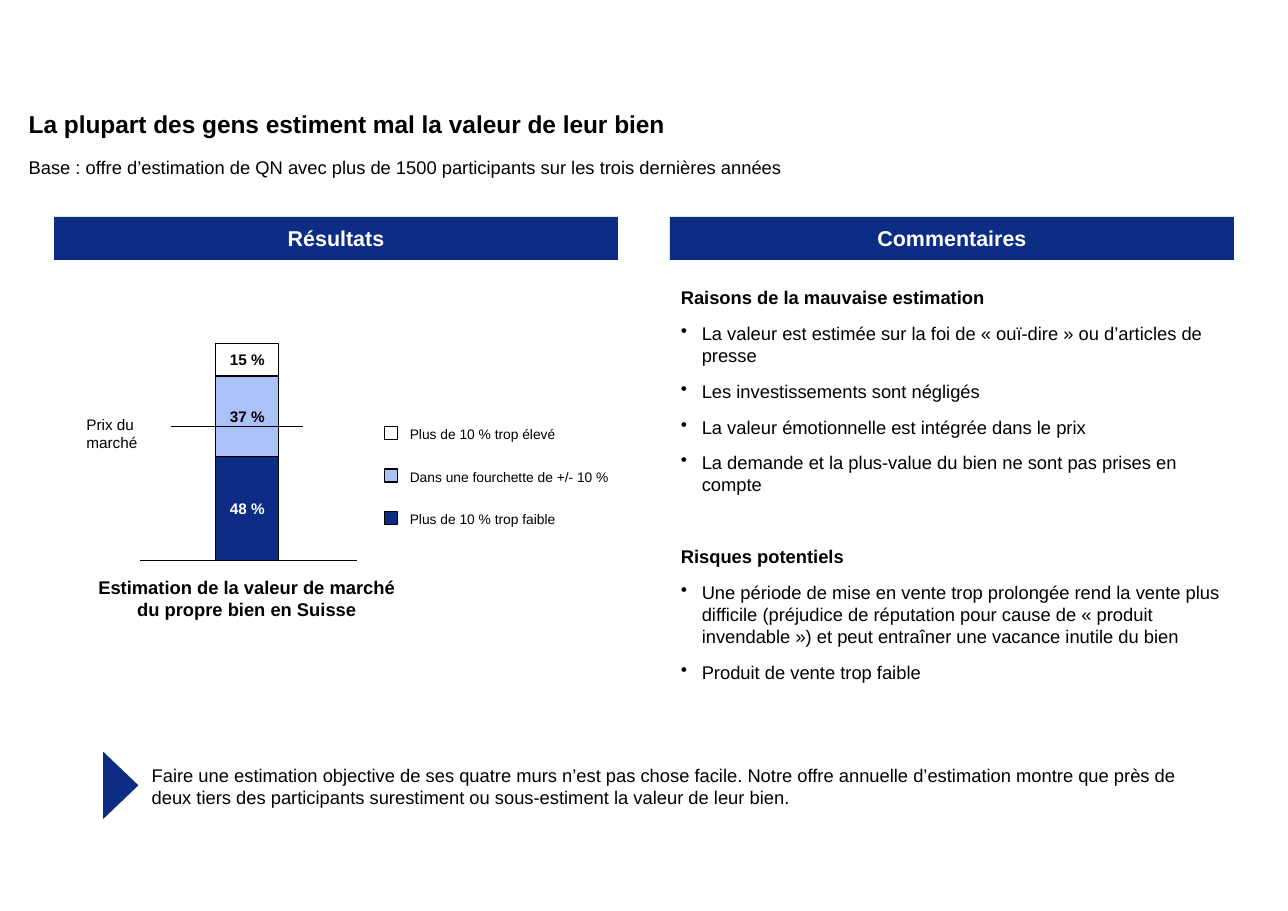
from dataclasses import dataclass

import lxml.etree
import pptx
import pptx.dml.color
import pptx.enum.shapes
import pptx.enum.text
import pptx.oxml.ns
import pptx.shapes.autoshape
import pptx.shapes.base
import pptx.slide
import pptx.text.text
import pptx.util

Align = pptx.enum.text.PP_ALIGN
Anchor = pptx.enum.text.MSO_ANCHOR
ShapeType = pptx.enum.shapes.MSO_SHAPE

FONT = "Arial"
NAVY, SKY, WHITE, BLACK = "0C2D83", "ABC1F7", "FFFFFF", "000000"
LINE_WIDTH = 0.75
BULLET_INDENT = 13.7

HEADER_TOP, HEADER_WIDTH, HEADER_HEIGHT = 141.8, 368.6, 28.1
RESULTS_LEFT, COMMENTS_LEFT = 35.3, 437.8

BAR_LEFT, BAR_WIDTH, BAR_BOTTOM = 141.1, 41.0, 366.5
POINTS_PER_PERCENT = 1.42
LEGEND_LEFT, LEGEND_TOP, LEGEND_STEP, LEGEND_MARK = 251.3, 278.8, 27.7, 8.6
LEGEND_TEXT_LEFT, LEGEND_TEXT_HEIGHT = 267.8, 15.8


@dataclass
class Segment:
    percent: int
    label: str
    fill: str
    text_color: str


@dataclass
class CommentGroup:
    heading: str
    points: list[str]
    space_before: float


SEGMENTS = [
    Segment(15, "Plus de 10 % trop élevé", WHITE, BLACK),
    Segment(37, "Dans une fourchette de +/- 10 %", SKY, BLACK),
    Segment(48, "Plus de 10 % trop faible", NAVY, WHITE),
]

COMMENTS = [
    CommentGroup("Raisons de la mauvaise estimation", [
        "La valeur est estimée sur la foi de « ouï-dire » ou d’articles de presse",
        "Les investissements sont négligés",
        "La valeur émotionnelle est intégrée dans le prix",
        "La demande et la plus-value du bien ne sont pas prises en compte",
    ], space_before=3),
    CommentGroup("Risques potentiels", [
        "Une période de mise en vente trop prolongée rend la vente plus difficile "
        "(préjudice de réputation pour cause de « produit invendable ») "
        "et peut entraîner une vacance inutile du bien",
        "Produit de vente trop faible",
    ], space_before=26.5),
]


def rgb(color: str) -> pptx.dml.color.RGBColor:
    return pptx.dml.color.RGBColor.from_string(color)


def add_bullet(paragraph: pptx.text.text._Paragraph) -> None:
    properties = paragraph._p.get_or_add_pPr()
    indent = pptx.util.Pt(BULLET_INDENT)
    properties.set("marL", str(int(indent)))
    properties.set("indent", str(-int(indent)))
    bullet = lxml.etree.SubElement(properties, pptx.oxml.ns.qn("a:buChar"))
    bullet.set("char", "•")


def write(shape: pptx.shapes.base.BaseShape, text: str, *, size: float = 12,
          bold: bool = False, color: str = BLACK, align: Align = Align.LEFT,
          anchor: Anchor = Anchor.TOP, inset: bool = False, wrap: bool = True,
          space_before: float = 0, space_after: float = 0,
          bullet: bool = False) -> None:
    """Fill the shape's first paragraph, or append one if it already has text."""
    frame = shape.text_frame
    frame.word_wrap = wrap
    frame.vertical_anchor = anchor
    horizontal, vertical = (7.2, 3.6) if inset else (0, 0)
    frame.margin_left = frame.margin_right = pptx.util.Pt(horizontal)
    frame.margin_top = frame.margin_bottom = pptx.util.Pt(vertical)
    paragraph = frame.add_paragraph() if frame.text else frame.paragraphs[0]
    paragraph.alignment = align
    paragraph.space_before = pptx.util.Pt(space_before)
    paragraph.space_after = pptx.util.Pt(space_after)
    if bullet:
        add_bullet(paragraph)
    run = paragraph.add_run()
    run.text = text
    run.font.name = FONT
    run.font.size = pptx.util.Pt(size)
    run.font.bold = bold
    run.font.color.rgb = rgb(color)


def add_text_box(slide: pptx.slide.Slide, left: float, top: float, width: float,
                 height: float) -> pptx.shapes.autoshape.Shape:
    return slide.shapes.add_textbox(*map(pptx.util.Pt, (left, top, width, height)))


def add_filled(slide: pptx.slide.Slide, left: float, top: float, width: float,
               height: float, fill: str, *, outlined: bool = False,
               kind: ShapeType = ShapeType.RECTANGLE) -> pptx.shapes.autoshape.Shape:
    shape = slide.shapes.add_shape(
        kind, *map(pptx.util.Pt, (left, top, width, height)))
    shape.shadow.inherit = False
    shape.fill.solid()
    shape.fill.fore_color.rgb = rgb(fill)
    if outlined:
        shape.line.color.rgb = rgb(BLACK)
        shape.line.width = pptx.util.Pt(LINE_WIDTH)
    else:
        shape.line.fill.background()
    return shape


def add_line(slide: pptx.slide.Slide, left: float, right: float, y: float) -> None:
    line = slide.shapes.add_connector(
        pptx.enum.shapes.MSO_CONNECTOR.STRAIGHT,
        *map(pptx.util.Pt, (left, y, right, y)))
    line.line.color.rgb = rgb(BLACK)
    line.line.width = pptx.util.Pt(LINE_WIDTH)
    lxml.etree.SubElement(line._element.spPr, pptx.oxml.ns.qn("a:effectLst"))


def add_headings(slide: pptx.slide.Slide) -> None:
    write(add_text_box(slide, 18.7, 42.5, 768, 48.2),
          "La plupart des gens estiment mal la valeur de leur bien",
          size=16, bold=True, anchor=Anchor.BOTTOM)
    write(add_text_box(slide, 18.7, 102.2, 768, 25.2),
          "Base : offre d’estimation de QN avec plus de 1500 participants "
          "sur les trois dernières années", space_before=3)
    for left, text in ((RESULTS_LEFT, "Résultats"), (COMMENTS_LEFT, "Commentaires")):
        header = add_filled(slide, left, HEADER_TOP, HEADER_WIDTH, HEADER_HEIGHT, NAVY)
        write(header, text, size=14, bold=True, color=WHITE,
              align=Align.CENTER, anchor=Anchor.MIDDLE, inset=True)


def add_results(slide: pptx.slide.Slide) -> None:
    top = BAR_BOTTOM - sum(segment.percent for segment in SEGMENTS) * POINTS_PER_PERCENT
    for index, segment in enumerate(SEGMENTS):
        height = segment.percent * POINTS_PER_PERCENT
        bar = add_filled(slide, BAR_LEFT, top, BAR_WIDTH, height, segment.fill,
                         outlined=True)
        write(bar, f"{segment.percent} %", size=10, bold=True,
              color=segment.text_color, align=Align.CENTER, anchor=Anchor.MIDDLE)
        top += height

        mark_top = LEGEND_TOP + index * LEGEND_STEP
        add_filled(slide, LEGEND_LEFT, mark_top, LEGEND_MARK, LEGEND_MARK,
                   segment.fill, outlined=True)
        label = add_text_box(slide, LEGEND_TEXT_LEFT, mark_top - 2.9, 135,
                             LEGEND_TEXT_HEIGHT)
        write(label, segment.label, size=9, anchor=Anchor.MIDDLE)

    add_line(slide, 91.4, 233.3, BAR_BOTTOM)
    add_line(slide, 111.6, 198, 279)
    write(add_text_box(slide, 49.4, 267.8, 71.3, 21.6), "Prix du marché",
          size=10, inset=True, space_before=3, space_after=6)
    caption = add_text_box(slide, 63, 376.6, 196.6, 28.8)
    for text in ("Estimation de la valeur de marché", "du propre bien en Suisse"):
        write(caption, text, bold=True, align=Align.CENTER, wrap=False)


def add_comments(slide: pptx.slide.Slide) -> None:
    box = add_text_box(slide, COMMENTS_LEFT, 183.6, HEADER_WIDTH, 261.4)
    for group in COMMENTS:
        write(box, group.heading, bold=True, inset=True,
              space_before=group.space_before, space_after=6)
        for point in group.points:
            write(box, point, inset=True, space_before=3, space_after=6, bullet=True)


def add_conclusion(slide: pptx.slide.Slide) -> None:
    arrow = add_filled(slide, 57, 501.8, 43.9, 23, NAVY,
                       kind=ShapeType.ISOSCELES_TRIANGLE)
    arrow.rotation = 90
    write(add_text_box(slide, 99.1, 499.7, 694.8, 28.1),
          "Faire une estimation objective de ses quatre murs n’est pas chose facile. "
          "Notre offre annuelle d’estimation montre que près de deux tiers des "
          "participants surestiment ou sous-estiment la valeur de leur bien.",
          anchor=Anchor.MIDDLE)


def main() -> None:
    presentation = pptx.Presentation()
    presentation.slide_width = pptx.util.Pt(841.68)
    presentation.slide_height = pptx.util.Pt(595.44)
    slide = presentation.slides.add_slide(presentation.slide_layouts[6])
    add_headings(slide)
    add_results(slide)
    add_comments(slide)
    add_conclusion(slide)
    presentation.save("out.pptx")


if __name__ == "__main__":
    main()
